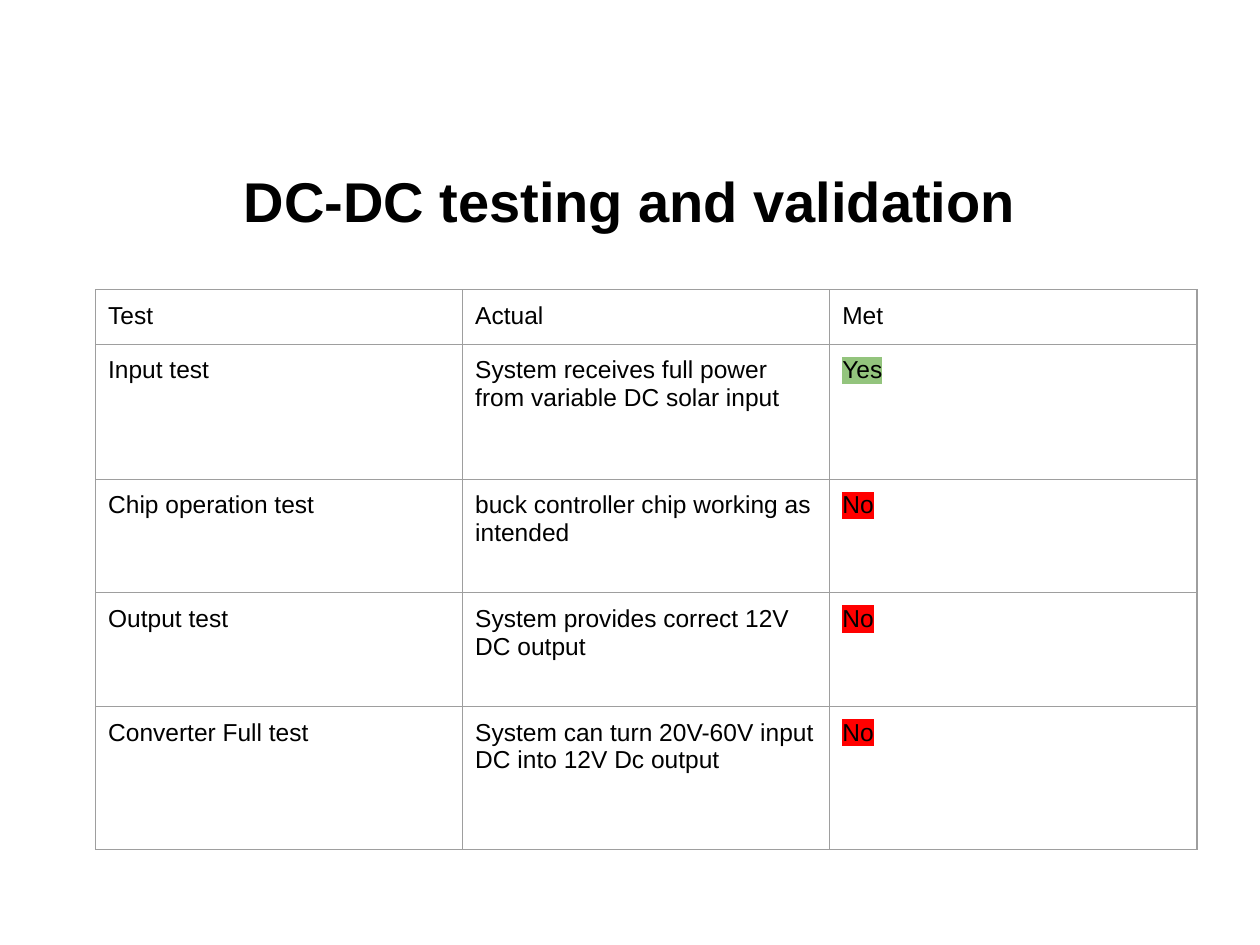
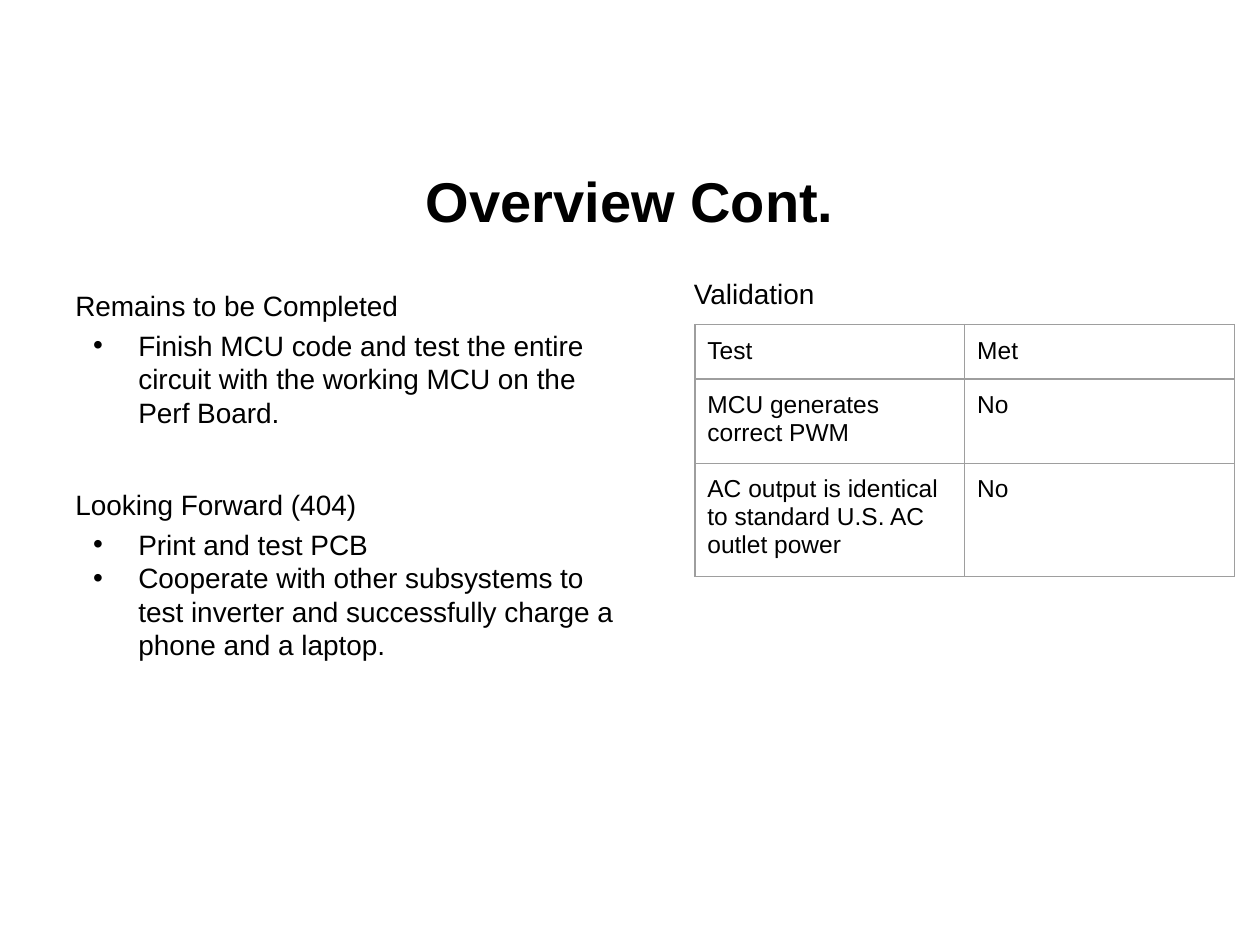
from dataclasses import dataclass

from lxml import etree
from pptx import Presentation
from pptx.dml.color import RGBColor
from pptx.enum.text import MSO_ANCHOR, PP_ALIGN
from pptx.oxml.ns import qn
from pptx.util import Cm, Pt

MID, TOP = MSO_ANCHOR.MIDDLE, MSO_ANCHOR.TOP
CENTER, LEFT = PP_ALIGN.CENTER, PP_ALIGN.LEFT


@dataclass(frozen=True)
class Theme:
    font: str = "Arial"
    ink: str = "000000"
    grid: str = "9E9E9E"
    good: str = "93C47D"
    bad: str = "FF0000"
    head: int = 32
    body: int = 16
    cell: int = 14
    rule: float = 0.75
    gap: float = 3.6


THEME = Theme()

# Content: lengths in cm, boxes as left, top, width, height
PAGE = (25.4, 19.05)
TITLE = (1.27, 2.92, 22.86, 2.24)
PAD = 0.25

TESTS = {
    "at": (1.93, 5.84),
    "col": 7.4,
    "rows": (1.1, 2.72, 2.29, 2.29, 2.88),
    "marks": {"Yes": THEME.good, "No": THEME.bad},
    "cells": [
        ("Test", "Actual", "Met"),
        ("Input test", "System receives full power from variable DC solar input", "Yes"),
        ("Chip operation test", "buck controller chip working as intended", "No"),
        ("Output test", "System provides correct 12V DC output", "No"),
        ("Converter Full test", "System can turn 20V-60V input DC into 12V Dc output", "No"),
    ],
}

CHECKS = {
    "at": (14.01, 6.54),
    "col": 5.44,
    "rows": (1.1, 1.7, 2.29),
    "marks": {},
    "cells": [
        ("Test", "Met"),
        ("MCU generates correct PWM", "No"),
        ("AC output is identical to standard U.S. AC outlet power", "No"),
    ],
}

# Left, top, heading, bullets
NOTE_SIZE = (11.43, 11.33)
NOTES = [
    (1.27, 5.69, "Remains to be Completed", [
        "Finish MCU code and test the entire circuit with the working MCU on the Perf Board.",
    ]),
    (1.27, 9.7, "Looking Forward (404)", [
        "Print and test PCB",
        "Cooperate with other subsystems to test inverter and successfully charge a phone and a laptop.",
    ]),
    (13.74, 5.45, "Validation", []),
]

SLIDES = [
    ("DC-DC testing and validation", [], TESTS),
    ("Overview Cont.", NOTES, CHECKS),
]


# Text
def style(para, size, bold=False, mark=None):
    for run in para.runs:
        font = run.font
        font.size, font.bold = Pt(size), bold
        font.color.rgb = RGBColor.from_string(THEME.ink)
        font.name = THEME.font
        if mark:
            # The highlight follows the fill in the run properties
            light = etree.Element(qn("a:highlight"))
            etree.SubElement(light, qn("a:srgbClr"), val=mark)
            run._r.get_or_add_rPr().insert(1, light)


def add_box(slide, box, lines, size, bold=False, anchor=TOP, align=LEFT):
    frame = slide.shapes.add_textbox(*map(Cm, box)).text_frame
    frame.word_wrap = True
    frame.vertical_anchor = anchor
    frame.text = "\n".join(lines)
    for para in frame.paragraphs:
        para.alignment = align
        style(para, size, bold)
    return frame.paragraphs


def set_bullet(para):
    props = para._p.get_or_add_pPr()
    props.set("marL", str(Cm(1.27)))
    props.set("indent", str(Cm(-0.91)))
    color = etree.SubElement(props, qn("a:buClr"))
    etree.SubElement(color, qn("a:srgbClr"), val=THEME.ink)
    etree.SubElement(props, qn("a:buFont"), typeface=THEME.font)
    etree.SubElement(props, qn("a:buChar"), char="•")


def add_note(slide, left, top, head, items):
    paras = add_box(slide, (left, top, *NOTE_SIZE), [head, *items], THEME.body)
    for i, para in enumerate(paras):
        para.space_before = Pt(THEME.gap if i < 2 else 0)
        if i:
            set_bullet(para)


# Tables
def set_grid(cell):
    props = cell._tc.get_or_add_tcPr()
    for side in ("lnL", "lnR", "lnT", "lnB"):
        line = etree.SubElement(props, qn("a:" + side), w=str(Pt(THEME.rule)))
        fill = etree.SubElement(line, qn("a:solidFill"))
        etree.SubElement(fill, qn("a:srgbClr"), val=THEME.grid)


def add_grid(slide, data):
    cells, rows, col = data["cells"], data["rows"], data["col"]
    count = len(cells[0])
    size = (col * count, sum(rows))
    table = slide.shapes.add_table(len(rows), count, *map(Cm, (*data["at"], *size))).table
    table.first_row = table.horz_banding = False
    for part in table.columns:
        part.width = Cm(col)
    for r, (high, texts) in enumerate(zip(rows, cells)):
        table.rows[r].height = Cm(high)
        for c, text in enumerate(texts):
            cell = table.cell(r, c)
            cell.text = text
            cell.margin_left = cell.margin_right = Cm(PAD)
            cell.margin_top = cell.margin_bottom = Cm(PAD)
            set_grid(cell)
            cell.fill.background()
            style(cell.text_frame.paragraphs[0], THEME.cell, mark=data["marks"].get(text))


def main():
    deck = Presentation()
    deck.slide_width, deck.slide_height = map(Cm, PAGE)
    for title, notes, data in SLIDES:
        slide = deck.slides.add_slide(deck.slide_layouts[6])
        add_box(slide, TITLE, [title], THEME.head, True, MID, CENTER)
        for note in notes:
            add_note(slide, *note)
        add_grid(slide, data)
    deck.save("out.pptx")


if __name__ == "__main__":
    main()
